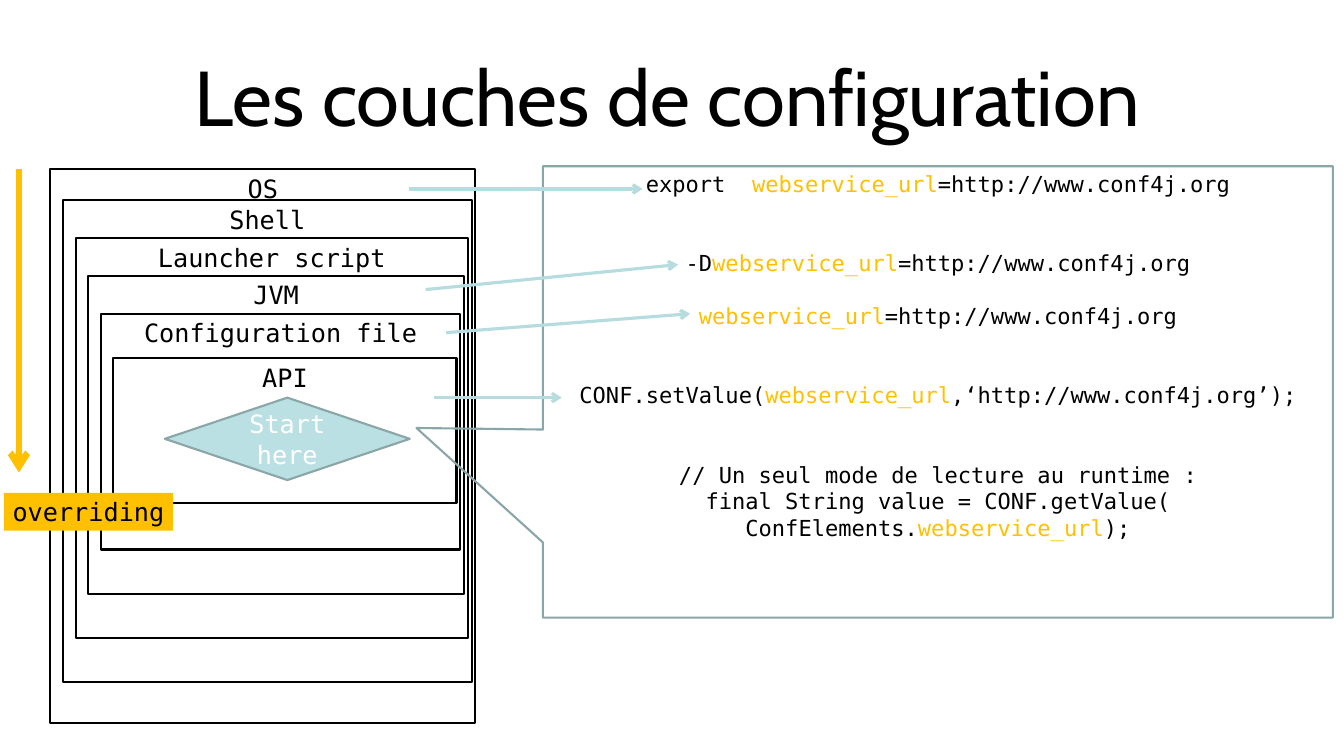
from dataclasses import dataclass, field

from lxml.etree import SubElement
from pptx import Presentation
from pptx.dml.color import RGBColor
from pptx.enum.shapes import MSO_CONNECTOR, MSO_SHAPE
from pptx.enum.text import MSO_ANCHOR, MSO_AUTO_SIZE, PP_ALIGN
from pptx.oxml.ns import qn
from pptx.util import Pt


@dataclass
class Theme:
    ink: str = "000000"
    paper: str = "FFFFFF"
    gold: str = "FFC000"
    aqua: str = "BBE0E3"
    sky: str = "B6DCDF"
    slate: str = "8AA6A8"
    mono: str = "DejaVu Sans Mono"
    sans: str = "Cabin"
    head: int = 74
    label: int = 24
    code: int = 21


def apply(target, values):
    for name, value in values.items():
        setattr(target, name, value)


@dataclass
class Deck:
    slide: object
    theme: Theme = field(default_factory=Theme)

    def letter(self, shape, rows, size, font=None, **frame):
        body = shape.text_frame
        apply(body, {"word_wrap": True, "vertical_anchor": MSO_ANCHOR.TOP, **frame})
        for i, (gap, runs) in enumerate(rows):
            para = body.add_paragraph() if i else body.paragraphs[0]
            apply(para, {"alignment": PP_ALIGN.CENTER, "space_before": Pt(gap)})
            for text, color in runs:
                run = para.add_run()
                run.text = text
                apply(run.font, {"size": Pt(size), "name": font or self.theme.mono})
                run.font.color.rgb = RGBColor.from_string(color)

    def shape(self, kind, area, fill=None, line=None):
        item = self.slide.shapes.add_shape(kind, *map(Pt, area))
        item.shadow.inherit = False
        if fill:
            item.fill.solid()
            item.fill.fore_color.rgb = RGBColor.from_string(fill)
        else:
            item.fill.background()
        if line:
            item.line.color.rgb = RGBColor.from_string(line)
            item.line.width = Pt(2)
        else:
            item.line.fill.background()
        return item

    def label(self, kind, area, text, fill, line=None, color=None, **frame):
        item = self.shape(kind, area, fill, line)
        rows = [(0, [(text, color or self.theme.ink)])]
        self.letter(item, rows, self.theme.label, **frame)

    def callout(self, area, tip, rows):
        item = self.shape(MSO_SHAPE.RECTANGULAR_CALLOUT, area, line=self.theme.slate)
        for i, value in enumerate(tip):
            item.adjustments[i] = value
        self.letter(item, rows, self.theme.code)

    def arrow(self, ends, color, width):
        item = self.slide.shapes.add_connector(MSO_CONNECTOR.STRAIGHT, *map(Pt, ends))
        item.line.color.rgb = RGBColor.from_string(color)
        item.line.width = Pt(width)
        props = item.element.spPr
        SubElement(props.find(qn("a:ln")), qn("a:tailEnd"), type="arrow")
        SubElement(props, qn("a:effectLst"))

    def title(self, area, text):
        item = self.slide.shapes.add_textbox(*map(Pt, area))
        sides = ("left", "top", "right", "bottom")
        inset = {f"margin_{side}": Pt(4.5) for side in sides}
        rows = [(0, [(text, self.theme.ink)])]
        self.letter(item, rows, self.theme.head, self.theme.sans,
                    vertical_anchor=MSO_ANCHOR.BOTTOM, **inset)


def main():
    show = Presentation()
    apply(show, {"slide_width": Pt(1280), "slide_height": Pt(720)})
    deck = Deck(show.slides.add_slide(show.slide_layouts[6]))
    look = deck.theme

    layers = [
        ("OS", 161.3, 689),
        ("Shell", 190.8, 649.4),
        ("Launcher script", 226.8, 607.7),
        ("JVM", 262.8, 565.9),
        ("Configuration file", 298.8, 523.4),
        ("API", 341.3, 479.5),
    ]
    for i, (name, top, base) in enumerate(layers):
        area = (48 + 12 * i, top, 404.8 - 15.6 * i, base - top)
        deck.label(MSO_SHAPE.RECTANGLE, area, name, look.paper, look.ink)

    deck.label(MSO_SHAPE.FLOWCHART_DECISION, (157, 378.7, 233.3, 78.5), "Start here",
               look.aqua, look.slate, look.paper, vertical_anchor=MSO_ANCHOR.MIDDLE)

    key = ("webservice_url", look.gold)
    value = ("=http://www.conf4j.org", look.ink)
    line = 25.2
    rows = [
        (0, [("export  ", look.ink), key, value]),
        (2 * line, [("-D", look.ink), key, value]),
        (line, [key, value]),
        (2 * line, [("CONF.setValue(", look.ink), key,
                    (",‘http://www.conf4j.org’);", look.ink)]),
        (2 * line, [("// Un seul mode de lecture au runtime :", look.ink)]),
        (0, [("final String value = CONF.getValue(", look.ink)]),
        (0, [("ConfElements.", look.ink), key, (");", look.ink)]),
    ]
    deck.callout((517, 158.4, 752.4, 429.8), (-0.66, 0.08), rows)

    links = [
        (389.5, 180, 612, 180),
        (405.4, 275.8, 645.8, 252),
        (424.8, 316.8, 657.4, 298.8),
        (413.3, 378.7, 535, 378.7),
    ]
    for ends in links:
        deck.arrow(ends, look.sky, 3)

    deck.label(MSO_SHAPE.RECTANGLE, (3.6, 469.4, 161.3, 36), "overriding", look.gold,
               word_wrap=False, auto_size=MSO_AUTO_SIZE.SHAPE_TO_FIT_TEXT)
    deck.arrow((18, 161.3, 18, 450), look.gold, 6)
    deck.title((86.4, 59.8, 1098, 80), "Les couches de configuration")
    show.save("out.pptx")


if __name__ == "__main__":
    main()
